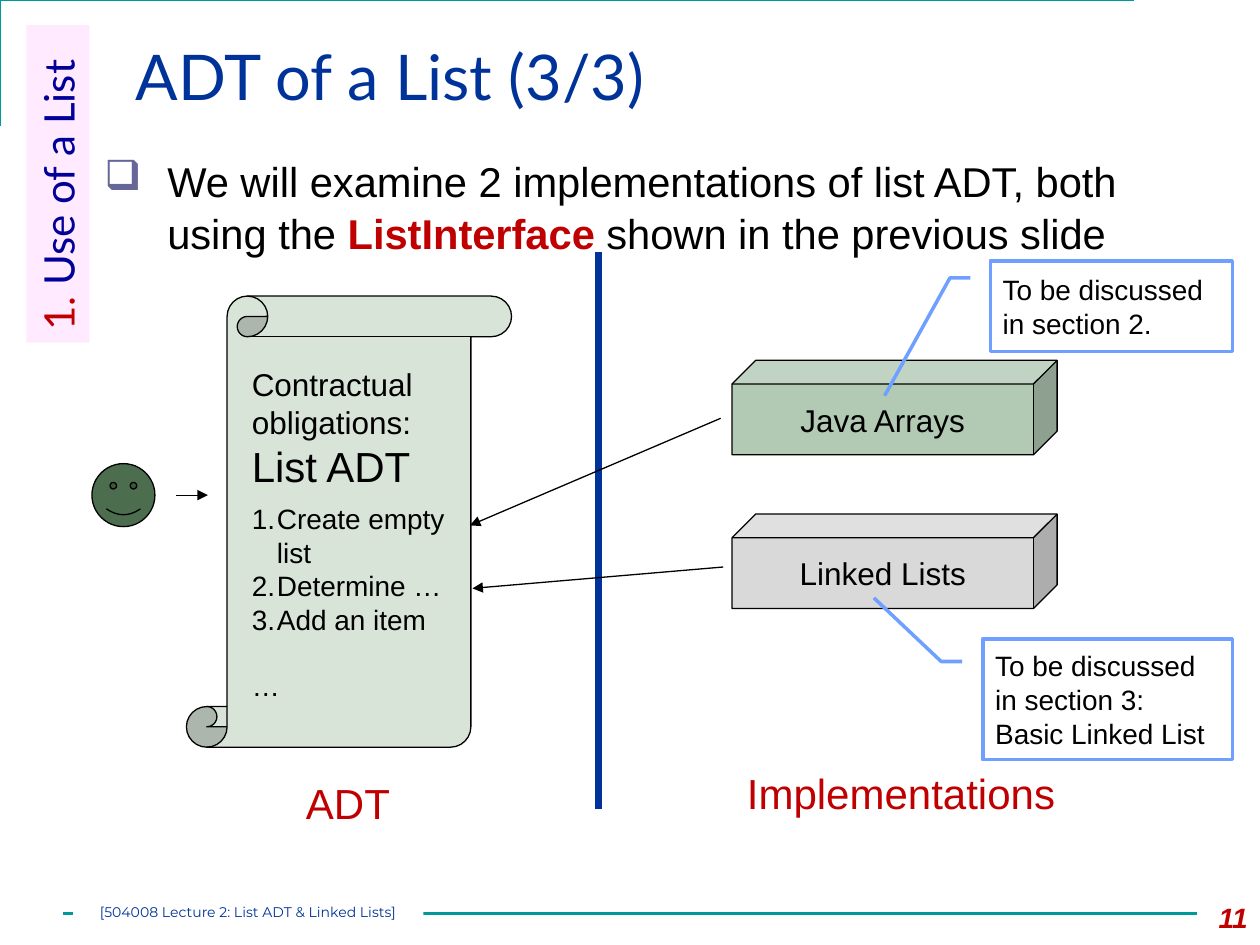
import pptx
import pptx.util
import pptx.dml.color
import pptx.enum.shapes
import pptx.enum.text
import pptx.oxml
import pptx.oxml.ns
from lxml import etree

Inches = pptx.util.Inches
Pt = pptx.util.Pt
RGBColor = pptx.dml.color.RGBColor
SHAPES = pptx.enum.shapes.MSO_SHAPE
ALIGN = pptx.enum.text.PP_ALIGN
ANCHOR = pptx.enum.text.MSO_ANCHOR

BLACK = RGBColor(0x00, 0x00, 0x00)
WHITE = RGBColor(0xFF, 0xFF, 0xFF)
TEAL = RGBColor(0x00, 0x99, 0x99)
NAVY = RGBColor(0x00, 0x33, 0x99)
INDIGO = RGBColor(0x00, 0x00, 0x99)
RED = RGBColor(0xC0, 0x00, 0x00)
SKY = RGBColor(0x70, 0xA0, 0xFF)
PINK = RGBColor(0xFF, 0xCC, 0xFF)
PALE_GREEN = RGBColor(0xD9, 0xE4, 0xD9)
MID_GREEN = RGBColor(0xB2, 0xCA, 0xB4)
DARK_GREEN = RGBColor(0x4C, 0x6D, 0x4E)
GRAY = RGBColor(0xD9, 0xD9, 0xD9)

CORNER = [(0.42, 0.83), (0.42, 0.17), (9.42, 0.17)]
TITLE = "ADT of a List (3/3)"
INTRO = [
    ("We will examine 2 implementations of list ADT, both using the ", BLACK, False),
    ("ListInterface ", RED, True),
    ("shown in the previous slide", BLACK, False),
]
CONTRACT = [
    ("Contractual", 18, False, {}),
    ("obligations:", 18, False, {}),
    ("List ADT", 24, False, {"space_after": Pt(6)}),
    ("Create empty list", 16, True, {}),
    ("Determine …", 16, True, {}),
    ("Add an item", 16, True, {}),
    ("…", 16, False, {"space_before": Pt(18.4)}),
]
CAPTIONS = [("ADT", (2.33, 6.12, 0.88, 0.5)), ("Implementations", (5.83, 6.04, 2.67, 0.5))]
ARROWS = [((1.4, 3.93), (1.65, 3.93)), ((5.72, 3.32), (3.73, 4.17)), ((5.74, 4.5), (3.75, 4.67))]
CUBES = [("Java Arrays", 2.86, MID_GREEN), ("Linked Lists", 4.08, GRAY)]
CALLOUTS = [
    ("To be discussed in section 2.", (7.86, 2.07, 1.92, 0.72), 1.487),
    ("To be discussed in section 3: Basic Linked List", (7.8, 5.07, 1.98, 0.96), -0.339),
]
SECTION = [("1. ", RED), ("Use of a List", INDIGO)]
FOOTER = "[504008 Lecture 2: List ADT & Linked Lists]"

deck = pptx.Presentation()
deck.slide_width, deck.slide_height = Inches(10), Inches(7.5)
page = deck.slides.add_slide(deck.slide_layouts[6])


def apply(target, values):
    for name, value in values.items():
        setattr(target, name, value)


def add_span(para, text, size, color=BLACK, name="Arial", **values):
    span = para.add_run()
    span.text = text
    apply(span.font, {"size": Pt(size), "name": name, **values})
    span.font.color.rgb = color


def add_xml(parent, tag, **attributes):
    return etree.SubElement(parent, pptx.oxml.ns.qn("a:" + tag), attributes)


def set_indent(para, inches):
    props = para._p.get_or_add_pPr()
    props.set("marL", str(Inches(inches)))
    props.set("indent", str(-Inches(inches)))
    return props


def add_box(place, wrap=True):
    box = page.shapes.add_textbox(*map(Inches, place))
    box.text_frame.word_wrap = wrap
    return box.text_frame


def add_figure(kind, place, fill, line=None, width=0.75, adjust=()):
    figure = page.shapes.add_shape(kind, *map(Inches, place))
    figure.shadow.inherit = False
    figure.fill.solid()
    figure.fill.fore_color.rgb = fill
    if line is None:
        figure.line.fill.background()
    else:
        figure.line.color.rgb = line
        figure.line.width = Pt(width)
    for index, value in enumerate(adjust):
        figure.adjustments[index] = value
    figure.text_frame.word_wrap = True
    figure.text_frame.paragraphs[0].alignment = ALIGN.LEFT
    return figure


def add_line(start, end, color=BLACK, width=0.75, arrow=False):
    line = page.shapes.add_connector(
        pptx.enum.shapes.MSO_CONNECTOR.STRAIGHT, *map(Inches, start + end))
    line.line.color.rgb = color
    line.line.width = Pt(width)
    if arrow:
        add_xml(line.line._get_or_add_ln(), "tailEnd", type="triangle")
    add_xml(line._element.spPr, "effectLst")


builder = page.shapes.build_freeform(*CORNER[0], scale=Inches(1))
builder.add_line_segments(CORNER[1:], close=False)
corner = builder.convert_to_shape()
corner.shadow.inherit = False
corner.fill.background()
corner.line.color.rgb = TEAL
corner.line.width = Pt(1.5)
add_line((0.5, 7.25), (9.5, 7.25), TEAL, 1.5)

add_span(add_box((0.98, 0.25, 8.52, 0.86)).paragraphs[0], TITLE, 36, NAVY, "Lato")

number = add_box((9.33, 7.1, 0.67, 0.4)).paragraphs[0]
number.alignment = ALIGN.RIGHT
add_span(number, "11", 16, RED, bold=True, italic=True)

intro = add_box((0.73, 1.17, 8.77, 0.97)).paragraphs[0]
intro.line_spacing = 1.04
props = set_indent(intro, 0.5)
add_xml(add_xml(props, "buClr"), "srgbClr", val="666699")
add_xml(props, "buChar", char="❑")
for text, color, bold in INTRO:
    add_span(intro, text, 23.8, color, bold=bold)

add_line((4.75, 2), (4.75, 6.42), NAVY, 4.5)
add_figure(SHAPES.VERTICAL_SCROLL, (1.48, 2.35, 2.58, 3.58), PALE_GREEN, BLACK, adjust=[0.125])

contract = add_box((1.9, 2.85, 1.77, 2.81))
for index, (text, size, numbered, spacing) in enumerate(CONTRACT):
    para = contract.add_paragraph() if index else contract.paragraphs[0]
    apply(para, spacing)
    props = set_indent(para, 0.2 if numbered else 0.38)
    if numbered:
        add_xml(props, "buAutoNum", type="arabicPeriod")
    add_span(para, text, size)

add_figure(SHAPES.SMILEY_FACE, (0.73, 3.68, 0.5, 0.5), DARK_GREEN, BLACK, adjust=[0.047])
for start, end in ARROWS:
    add_line(start, end, arrow=True)

for text, top, fill in CUBES:
    cube = add_figure(SHAPES.CUBE, (5.81, top, 2.58, 0.75), fill, BLACK, adjust=[0.25])
    apply(cube.text_frame, {"word_wrap": False, "vertical_anchor": ANCHOR.MIDDLE})
    para = cube.text_frame.paragraphs[0]
    para.alignment = ALIGN.CENTER
    add_span(para, text, 18)

for text, place in CAPTIONS:
    add_span(add_box(place, wrap=False).paragraphs[0], text, 24, RED)

for text, place, reach in CALLOUTS:
    callout = add_figure(SHAPES.LINE_CALLOUT_2, place, WHITE, SKY, 2,
                         [0.188, -0.083, 0.188, -0.167, reach, -0.437])
    callout.text_frame.vertical_anchor = ANCHOR.MIDDLE
    add_span(callout.text_frame.paragraphs[0], text, 16)

section = add_figure(SHAPES.RECTANGLE, (-0.8, 1.21, 2.52, 0.5), PINK)
section.rotation = 270
section.text_frame.vertical_anchor = ANCHOR.TOP
tint = section._element.spPr.find(".//" + pptx.oxml.ns.qn("a:srgbClr"))
add_xml(tint, "alpha", val="40000")
for text, color in SECTION:
    add_span(section.text_frame.paragraphs[0], text, 24, color, "Lato")

footer = add_figure(SHAPES.RECTANGLE, (0.58, 7.17, 2.78, 0.2), WHITE).text_frame
apply(footer, {"margin_left": 0, "margin_right": 0, "margin_top": 0, "margin_bottom": 0,
               "vertical_anchor": ANCHOR.TOP})
footer.paragraphs[0].alignment = ALIGN.CENTER
add_span(footer.paragraphs[0], FOOTER, 8, NAVY, "Montserrat")

deck.save("out.pptx")
